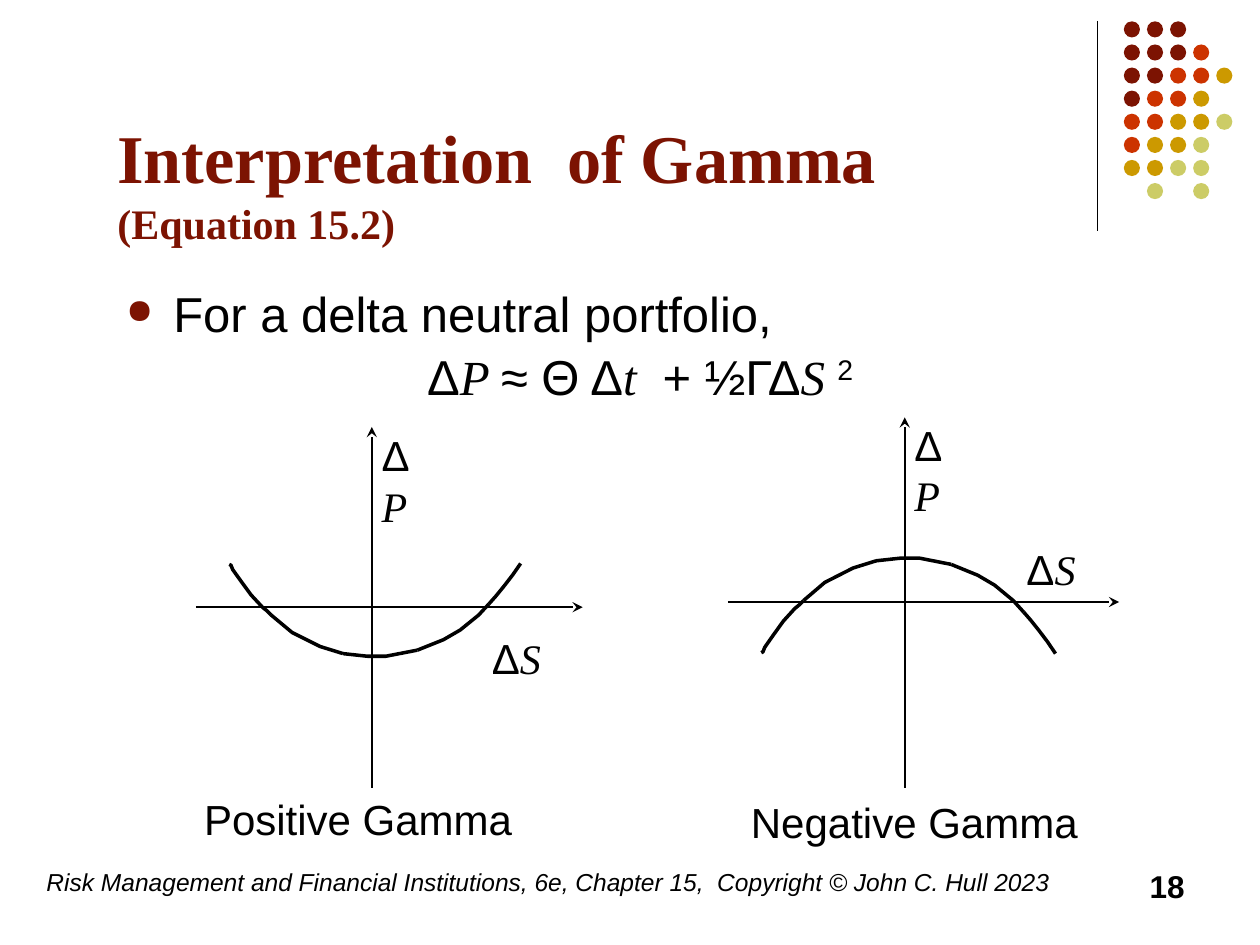
from lxml import etree
from pptx import Presentation
from pptx import util as u
from pptx.dml.color import RGBColor
from pptx.enum import shapes, text
from pptx.oxml import ns

BLACK = RGBColor(0x00, 0x00, 0x00)
MAROON = RGBColor(0x7C, 0x13, 0x02)
RED = RGBColor(0xCC, 0x33, 0x00)
GOLD = RGBColor(0xCC, 0x99, 0x00)
PALE = RGBColor(0xCC, 0xCC, 0x66)

DOT_COLORS = {"M": MAROON, "R": RED, "G": GOLD, "P": PALE}
DOT_ROWS = ["MMM", "MMMR", "MMRRG", "MRRG", "RRGGP", "RGGP", "GGPP", " P P"]
DOT_LEFT, DOT_TOP, DOT_PITCH, DOT_SIZE = 642.2, 12.2, 13.2, 9.2

SANS = {"name": "Arial", "italic": False}
SERIF = {"name": "Times New Roman", "italic": True}
TITLE = {"name": "Times New Roman", "bold": True}

CURVE = [
    [(0, 0), (1, 0.5), (2, 3), (7, 10), (12.5, 17.5), (19, 24.5), (21.5, 26.5), (24, 29)],
    [(24, 29), (36, 39), (52, 47), (65, 51)],
    [(65, 51), (79, 52.5), (89.5, 52.5), (107.5, 49)],
    [(107.5, 49), (122.5, 43), (132, 37.5), (142.5, 29), (148.5, 22.5)],
    [(148.5, 22.5), (152.5, 18), (157, 12.5), (162, 6), (166.5, -0.5)],
]


def add_element(parent, tag, **values):
    return etree.SubElement(parent, ns.qn(tag), values)


def add_spans(para, size, spans, color=BLACK):
    for words, values in spans:
        span = para.add_run()
        span.text = words
        span.font.size = u.Pt(size)
        span.font.color.rgb = color
        for name, value in values.items():
            setattr(span.font, name, value)
    return para


def add_text(parent, area, size, spans, align=text.PP_ALIGN.LEFT):
    box = parent.add_textbox(*map(u.Pt, area))
    box.text_frame.word_wrap = True
    para = box.text_frame.paragraphs[0]
    para.alignment = align
    add_spans(para, size, spans)
    return box


def add_line(parent, start, end, width, arrow=False):
    line = parent.add_connector(
        shapes.MSO_CONNECTOR.STRAIGHT, *map(u.Pt, start + end))
    line.line.color.rgb = BLACK
    line.line.width = u.Pt(width)
    properties = line._element.spPr
    if arrow:
        add_element(properties.find(ns.qn("a:ln")), "a:tailEnd", type="stealth")
    add_element(properties, "a:effectLst")


def add_dots(page):
    group = page.shapes.add_group_shape().shapes
    for row, codes in enumerate(DOT_ROWS):
        for column, code in enumerate(codes):
            if code == " ":
                continue
            left = DOT_LEFT + column * DOT_PITCH
            top = DOT_TOP + row * DOT_PITCH
            dot = group.add_shape(
                shapes.MSO_SHAPE.OVAL, *map(u.Pt, (left, top, DOT_SIZE, DOT_SIZE)))
            dot.shadow.inherit = False
            dot.fill.solid()
            dot.fill.fore_color.rgb = DOT_COLORS[code]
            dot.line.fill.background()


def add_curve(parent, origin, scale_x, scale_y):
    for piece in CURVE:
        points = [(u.Pt(origin[0] + x * scale_x), u.Pt(origin[1] + y * scale_y))
                  for x, y in piece]
        builder = parent.build_freeform(*points[0])
        builder.add_line_segments(points[1:], close=False)
        curve = builder.convert_to_shape()
        curve.shadow.inherit = False
        curve.fill.background()
        curve.line.color.rgb = BLACK
        curve.line.width = u.Pt(2)


def add_graph(page, origin, scale, across, up, price_at, stock_at):
    group = page.shapes.add_group_shape().shapes
    add_curve(group, origin, *scale)
    left, right, level = across
    add_line(group, (left, level), (right, level), 1, arrow=True)
    center, bottom, top = up
    add_line(group, (center, bottom), (center, top), 1, arrow=True)
    add_text(group, price_at + (42, 37), 24, [("Δ", SANS), ("P", SERIF)])
    add_text(group, stock_at + (50, 37), 24, [("Δ", SANS), ("S", SERIF)])


def add_title(page):
    box = add_text(page.shapes, (60, 71.5, 612, 73.5), 39, [])
    box.text_frame.vertical_anchor = text.MSO_ANCHOR.BOTTOM
    para = box.text_frame.paragraphs[0]
    add_spans(para, 39, [("Interpretation  of Gamma ", TITLE)], MAROON)
    para.add_line_break()
    add_spans(para, 24, [("(Equation 15.2)", TITLE)], MAROON)


def add_body(page):
    box = add_text(page.shapes, (65, 162, 612, 34), 28, [])
    bullet = box.text_frame.paragraphs[0]
    properties = bullet._p.get_or_add_pPr()
    properties.set("marL", str(u.Pt(27)))
    properties.set("indent", str(u.Pt(-27)))
    color = add_element(properties, "a:buClr")
    add_element(color, "a:srgbClr", val=str(MAROON))
    add_element(properties, "a:buSzPct", val="70000")
    add_element(properties, "a:buChar", char="●")
    bullet.line_spacing = 0.9
    add_spans(bullet, 28, [("For a delta neutral portfolio,", SANS)])

    formula = box.text_frame.add_paragraph()
    formula._p.get_or_add_pPr().set("marL", str(u.Pt(172)))
    formula.line_spacing = 0.9
    formula.space_before = u.Pt(6)
    add_spans(formula, 28, [
        ("Δ", SANS), ("P ", SERIF), ("≈ Θ Δ", SANS), ("t ", SERIF),
        (" + ½ΓΔ", SANS), ("S ", SERIF), ("2", SANS)])
    formula.runs[-1]._r.get_or_add_rPr().set("baseline", "30000")


def main():
    deck = Presentation()
    deck.slide_width, deck.slide_height = u.Pt(720), u.Pt(540)
    page = deck.slides.add_slide(deck.slide_layouts[6])
    add_line(page.shapes, (627, 12), (627, 132), 0.75)
    add_dots(page)
    add_title(page)
    add_body(page)
    add_text(page.shapes, (19.5, 492, 595.5, 36), 14, [
        ("Risk Management and Financial Institutions, 6e, Chapter 15,  "
         "Copyright © John C. Hull 2023", {"name": "Arial", "italic": True})])
    add_text(page.shapes, (516, 492, 168, 36), 18,
             [("18", {"name": "Arial", "bold": True})], text.PP_ALIGN.RIGHT)
    add_graph(page, (435, 373), (1.01, -1.03), (416, 639.5, 344),
              (517, 450, 238.5), (515.5, 236), (579.5, 307))
    add_text(page.shapes, (422, 451.5, 203, 37), 24, [("Negative Gamma", SANS)])
    add_graph(page, (131, 322.5), (1, 1), (112, 333, 347),
              (212.5, 450, 244), (211, 242), (274, 358))
    add_text(page.shapes, (109.5, 450, 234.5, 37), 24, [("Positive Gamma", SANS)])
    deck.save("out.pptx")


if __name__ == "__main__":
    main()
